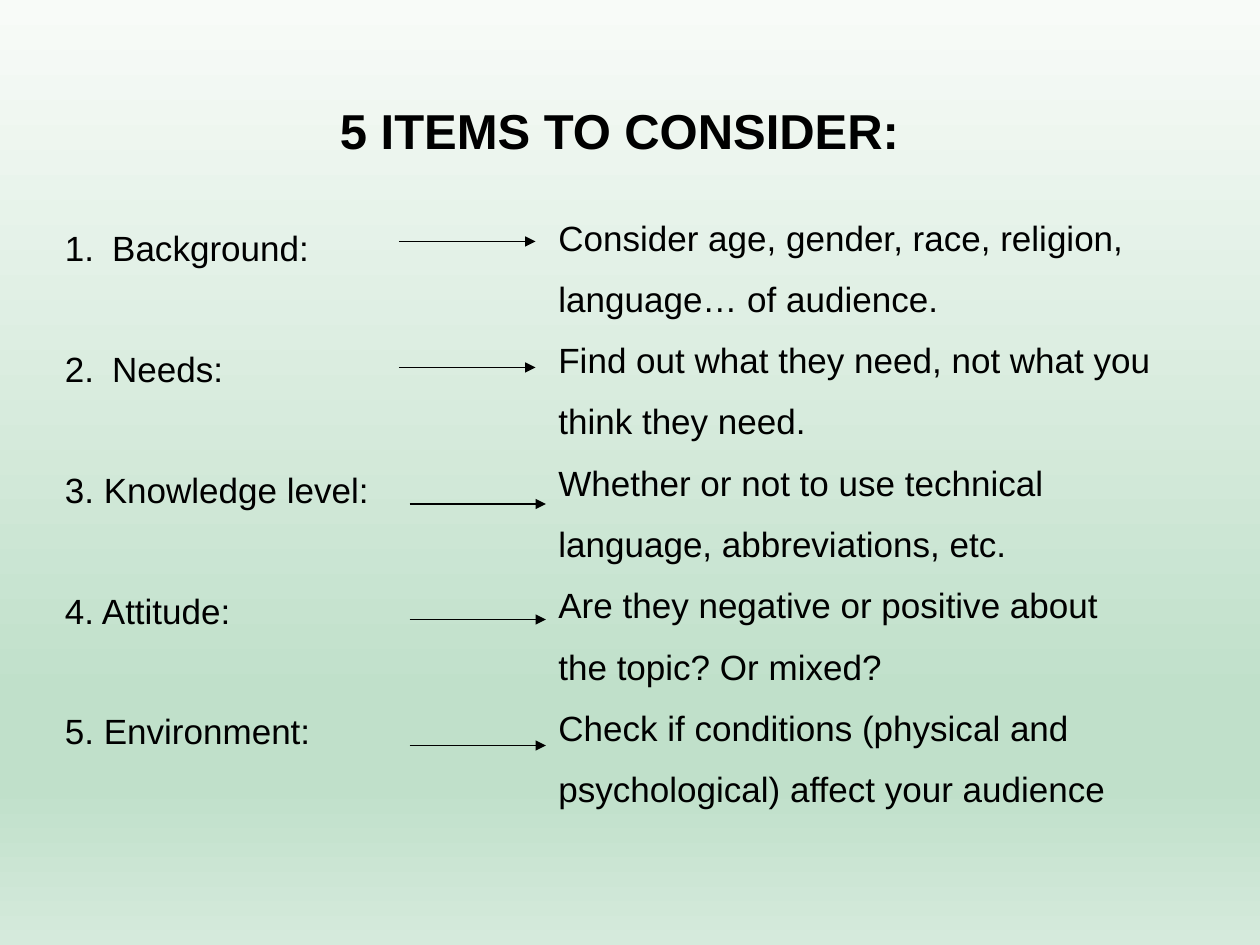
from lxml import etree
from pptx import Presentation
from pptx import util as u
from pptx.dml.color import RGBColor
from pptx.enum import shapes, text
from pptx.oxml.ns import qn

BLACK = "000000"
BACKGROUND_STOPS = [(0, "F8FBF8"), (74, "C0E0CA"), (83, "C0E0CA"), (100, "D5EADC")]
LABELS = [
    "Background:",
    "Needs:",
    "3. Knowledge level:",
    "4. Attitude:",
    "5. Environment:",
]
AUTO_NUMBERED = 2
DETAILS = [
    "Consider age, gender, race, religion,",
    "language… of audience.",
    "Find out what they need, not what you",
    "think they need.",
    "Whether or not to use technical",
    "language, abbreviations, etc.",
    "Are they negative or positive about",
    "the topic? Or mixed?",
    "Check if conditions (physical and",
    "psychological) affect your audience",
]
ARROWS = [(228, 138), (228, 210), (234, 288), (234, 354), (234, 426)]
ARROW_LENGTH = 78
INDENT = 27
LINE_GAP = 11
LABEL_GAP = 45


def color(value):
    return RGBColor.from_string(value)


def paint_background(page):
    fill = page.background.fill
    fill.gradient()
    fill.gradient_angle = 270
    stops = page.element.find(".//" + qn("a:gsLst"))
    for stop in list(stops):
        stops.remove(stop)
    for percent, value in BACKGROUND_STOPS:
        stop = etree.SubElement(stops, qn("a:gs"), pos=str(percent * 1000))
        etree.SubElement(stop, qn("a:srgbClr"), val=value)


def style_font(para, size, bold=False):
    font = para.font
    font.name = "Arial"
    font.size = u.Pt(size)
    font.bold = bold
    font.color.rgb = color(BLACK)


def add_title(page, wording):
    box = page.shapes.title
    box.left, box.top, box.width, box.height = map(u.Pt, (60, 54, 588, 41))
    frame = box.text_frame
    frame.text = wording
    frame.vertical_anchor = text.MSO_ANCHOR.TOP
    frame.auto_size = text.MSO_AUTO_SIZE.NONE
    para = frame.paragraphs[0]
    para.alignment = text.PP_ALIGN.CENTER
    style_font(para, 28, bold=True)


def add_list(page, bounds, lines, gap, numbered=0):
    box = page.shapes.add_textbox(*map(u.Pt, bounds))
    frame = box.text_frame
    frame.word_wrap = True
    for index, line in enumerate(lines):
        para = frame.paragraphs[0] if index == 0 else frame.add_paragraph()
        para.text = line
        properties = para._p.get_or_add_pPr()
        properties.set("marL", str(u.Pt(INDENT)))
        properties.set("indent", str(-u.Pt(INDENT)))
        if index < numbered:
            etree.SubElement(properties, qn("a:buAutoNum"),
                             type="arabicPeriod", startAt=str(index + 1))
        if index:
            para.space_before = u.Pt(gap)
        style_font(para, 20)


def add_arrow(page, left, top):
    arrow = page.shapes.add_connector(
        shapes.MSO_CONNECTOR.STRAIGHT,
        u.Pt(left), u.Pt(top), u.Pt(left + ARROW_LENGTH), u.Pt(top))
    arrow.line.color.rgb = color(BLACK)
    arrow.line.width = u.Pt(0.75)
    etree.SubElement(arrow.line._get_or_add_ln(), qn("a:tailEnd"), type="triangle")
    etree.SubElement(arrow._element.spPr, qn("a:effectLst"))


def main():
    deck = Presentation()
    deck.slide_width, deck.slide_height = u.Pt(720), u.Pt(540)
    page = deck.slides.add_slide(deck.slide_layouts[5])
    paint_background(page)
    add_title(page, "5 ITEMS TO CONSIDER:")
    add_list(page, (30, 126, 198, 358), LABELS, LABEL_GAP, AUTO_NUMBERED)
    add_list(page, (312, 120, 354, 358), DETAILS, LINE_GAP)
    for left, top in ARROWS:
        add_arrow(page, left, top)
    deck.save("out.pptx")


if __name__ == "__main__":
    main()
